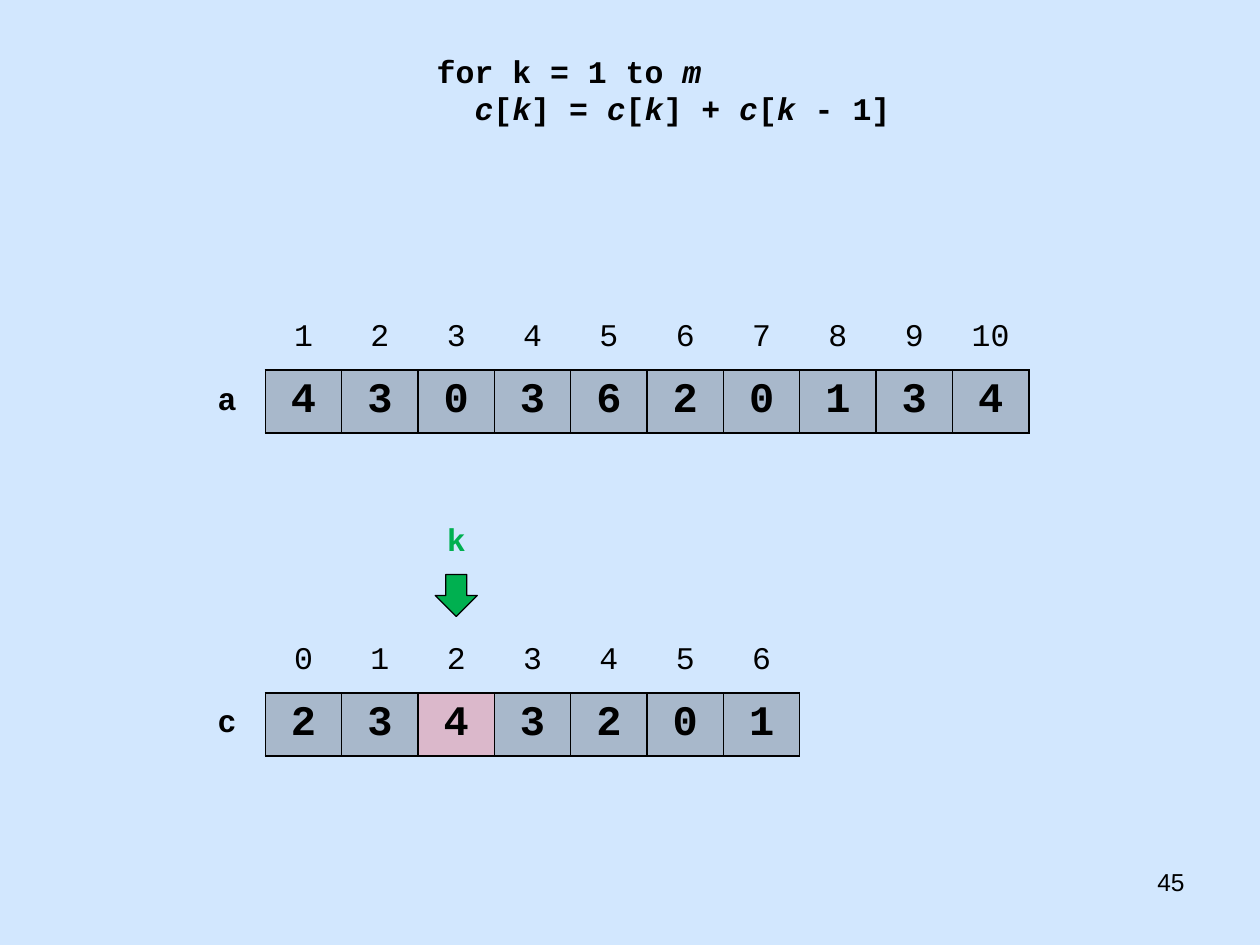
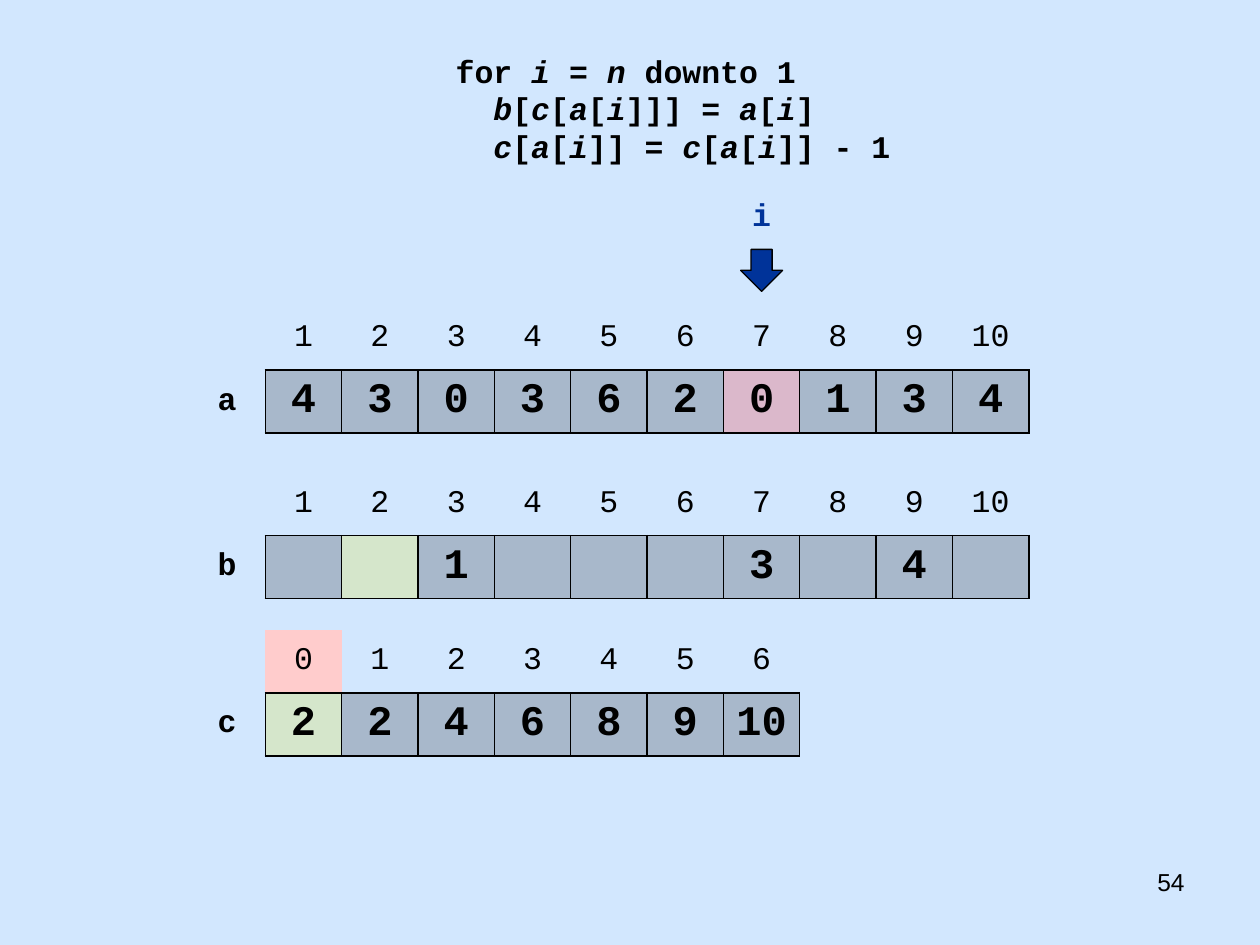
from lxml import etree
from pptx import Presentation, util as u
from pptx.dml.color import RGBColor
from pptx.enum import shapes, text
from pptx.oxml import ns

COLOURS = {
    "sky": "D2E7FE", "ink": "000000", "active": "FF0000", "target": "E5E500",
    "index": "FFCCCC", "green": "00B050", "navy": "003399",
}
CODE_FONT = "Courier New"
TINT = 20000  # opacity of value cells, in thousandths of a percent
NO_STYLE = "{2D5ABB26-0587-4C30-8999-92F81FD0307C}"

# Grid shared by all arrays
ARRAY_LEFT, CELL_W, CELL_H = 108, 43.63, 36
A_TOP, B_TOP, C_TOP = 175.5, 270, 360
A_VALUES = [4, 3, 0, 3, 6, 2, 0, 1, 3, 4]


def colour(name):
    return RGBColor.from_string(COLOURS[name])


def set_font(para, name, size, ink="ink", bold=False):
    for span in para.runs:
        span.font.name, span.font.size, span.font.bold = name, u.Pt(size), bold
        span.font.color.rgb = colour(ink)


def add_text_box(page, left, top, width, height):
    box = page.shapes.add_textbox(*map(u.Pt, (left, top, width, height)))
    box.text_frame.word_wrap = True
    return box.text_frame


def add_label(page, box, words, align, name, size, ink="ink", bold=False):
    para = add_text_box(page, *box).paragraphs[0]
    para.text, para.alignment = words, align
    set_font(para, name, size, ink, bold)


# Code listing: words between asterisks are italic
def add_code(page, left, top, lines):
    frame = add_text_box(page, left, top, 288, 7.2 + 21.75 * len(lines))
    frame.auto_size = text.MSO_AUTO_SIZE.SHAPE_TO_FIT_TEXT
    for number, line in enumerate(lines):
        para = frame.add_paragraph() if number else frame.paragraphs[0]
        for position, part in enumerate(line.split("*")):
            if part:
                span = para.add_run()
                span.text = part
                span.font.italic = position % 2 == 1
        set_font(para, CODE_FONT, 18, bold=True)


# Table cells
def set_borders(cell, sides):
    props = cell._tc.get_or_add_tcPr()
    for place, side in enumerate("LRTB"):
        line = etree.Element(ns.qn(f"a:ln{side}"), w=str(u.Pt(1)))
        if side in sides:
            fill = etree.SubElement(line, ns.qn("a:solidFill"))
            etree.SubElement(fill, ns.qn("a:srgbClr"), val=COLOURS["ink"])
        else:
            etree.SubElement(line, ns.qn("a:noFill"))
        props.insert(place, line)


def style_cell(cell, words, size, bold=False, fill=None, tinted=False, sides=""):
    cell.vertical_anchor = text.MSO_ANCHOR.MIDDLE
    para = cell.text_frame.paragraphs[0]
    para.text, para.alignment = str(words), text.PP_ALIGN.CENTER
    set_font(para, CODE_FONT, size, bold=bold)
    if fill:
        cell.fill.solid()
        cell.fill.fore_color.rgb = colour(fill)
    else:
        cell.fill.background()
    if tinted:
        for shade in cell._tc.get_or_add_tcPr().iter(ns.qn("a:srgbClr")):
            etree.SubElement(shade, ns.qn("a:alpha"), val=str(TINT))
    set_borders(cell, sides)


# Array: a row of indices above a row of values, with the name at the left
def add_array(page, top, name, values, first=1, marked=None, marked_index=None):
    marked = marked or {}
    columns = len(values) + 1
    frame = page.shapes.add_table(
        2, columns, *map(u.Pt, (ARRAY_LEFT, top, CELL_W * columns, 2 * CELL_H)))
    table = frame.table
    table.first_row = table.horz_banding = False
    table._tbl.tblPr.find(ns.qn("a:tableStyleId")).text = NO_STYLE
    for column in table.columns:
        column.width = u.Pt(CELL_W)
    for row in table.rows:
        row.height = u.Pt(CELL_H)
    style_cell(table.cell(0, 0), "", 18)
    style_cell(table.cell(1, 0), name, 18, bold=True, sides="R")
    for column, value in enumerate(values, 1):
        index = first + column - 1
        style_cell(table.cell(0, column), index, 18, sides="B",
                   fill="index" if index == marked_index else None)
        style_cell(table.cell(1, column), value, 24, bold=True, sides="LRTB",
                   fill=marked.get(index, "ink"), tinted=True)


# Loop variable with an arrow, centred over the cell at a zero-based position
def add_pointer(page, top, name, position, ink):
    centre = ARRAY_LEFT + CELL_W * (position + 1.5)
    add_label(page, (centre - 75, top, 150, 29), name, text.PP_ALIGN.CENTER,
              CODE_FONT, 18, ink, bold=True)
    arrow = page.shapes.add_shape(
        shapes.MSO_SHAPE.DOWN_ARROW, *map(u.Pt, (centre - 12, top + 34.5, 24, 24)))
    arrow.shadow.inherit = False
    arrow.fill.solid()
    arrow.fill.fore_color.rgb = colour(ink)
    arrow.line.color.rgb = colour("ink")
    arrow.line.width = u.Pt(0.75)


# Parts found on every slide
def add_page(deck, number, code):
    page = deck.slides.add_slide(deck.slide_layouts[6])
    add_label(page, (516, 492, 168, 37.5), number, text.PP_ALIGN.RIGHT, "Arial", 14)
    add_code(page, 242.5, 26, code)
    return page


def add_running_sum_page(deck):
    page = add_page(deck, "45", ["for k = 1 to *m*",
                                 "  *c*[*k*] = *c*[*k*] + *c*[*k* - 1]"])
    add_array(page, A_TOP, "a", A_VALUES)
    add_array(page, C_TOP, "c", [2, 3, 4, 3, 2, 0, 1], first=0, marked={2: "active"})
    add_pointer(page, 293.75, "k", 2, "green")


def add_placement_page(deck):
    page = add_page(deck, "54", [" for *i* = *n* downto 1",
                                 "   *b*[*c*[*a*[*i*]]] = *a*[*i*]",
                                 "   *c*[*a*[*i*]] = *c*[*a*[*i*]] - 1"])
    add_array(page, A_TOP, "a", A_VALUES, marked={7: "active"})
    add_array(page, B_TOP, "b", ["", "", 1, "", "", "", 3, "", 4, ""],
              marked={2: "target"})
    add_array(page, C_TOP, "c", [2, 2, 4, 6, 8, 9, 10], first=0,
              marked={0: "target"}, marked_index=0)
    add_pointer(page, 108, "i", 6, "navy")


def main():
    deck = Presentation()
    deck.slide_width, deck.slide_height = u.Pt(720), u.Pt(540)
    backdrop = deck.slide_master.background.fill
    backdrop.solid()
    backdrop.fore_color.rgb = colour("sky")
    add_running_sum_page(deck)
    add_placement_page(deck)
    deck.save("out.pptx")


if __name__ == "__main__":
    main()
